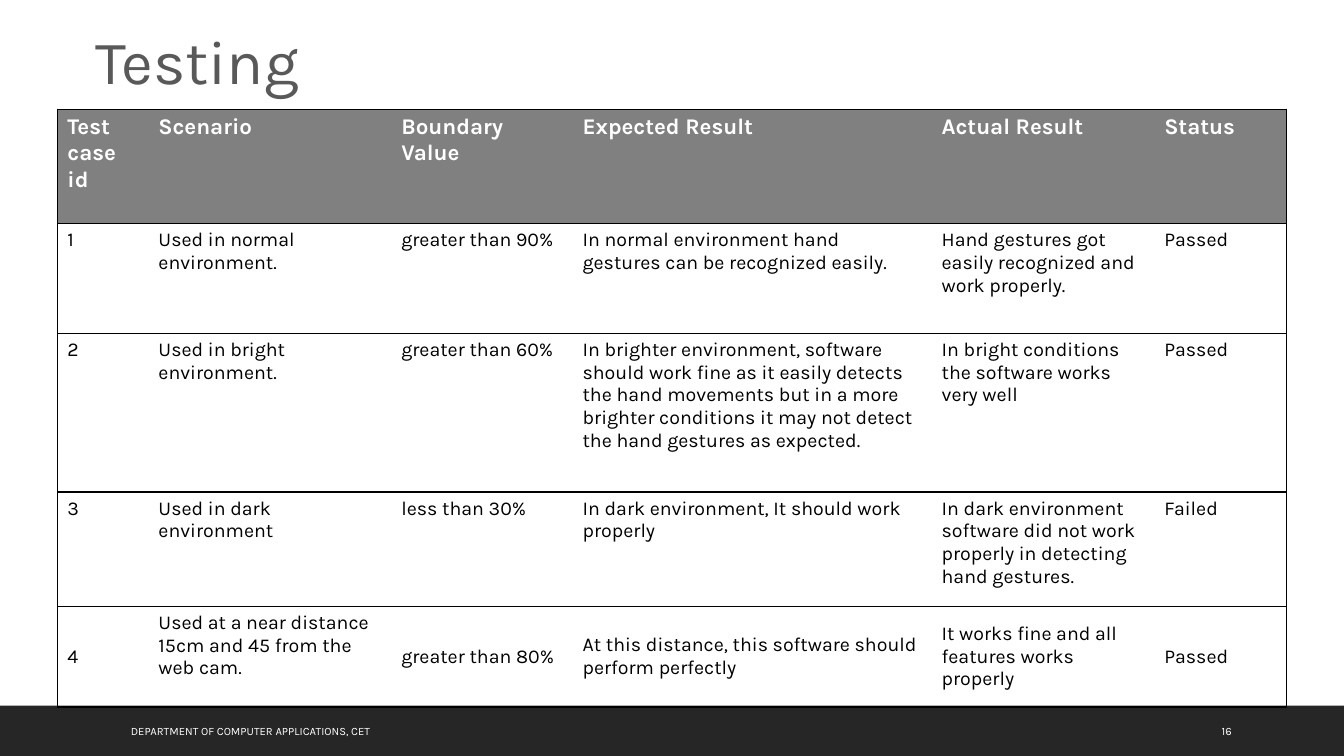
from lxml import etree
from pptx import Presentation
from pptx import util as u
from pptx.dml.color import RGBColor
from pptx.enum import shapes, text
from pptx.oxml.ns import qn

COLORS = {"white": "FFFFFF", "black": "000000", "bar": "262626",
          "header": "808080", "title": "595959"}
COLUMNS = [65, 173.5, 129.5, 256.5, 159, 94.5]
ROWS = [81.5, 78.5, 113.5, 81.5, 72]
TESTS = [
    ["Test case id", "Scenario", "Boundary Value", "Expected Result", "Actual Result", "Status"],
    ["1", "Used in normal environment.", "greater than 90%",
     "In normal environment hand gestures can be recognized easily.",
     "Hand gestures got easily recognized and work properly.", "Passed"],
    ["2", "Used in bright environment.", "greater than 60%",
     "In brighter environment, software should work fine as it easily detects the hand "
     "movements but in a more brighter conditions it may not detect the hand gestures as expected.",
     "In bright conditions the software works very well", "Passed"],
    ["3", "Used in dark environment", "less than 30%",
     "In dark environment, It should work properly",
     "In dark environment software did not work properly in detecting hand gestures.", "Failed"],
    ["4", "Used at a near distance 15cm and 45 from the web cam.", "greater than 80%",
     "At this distance, this software should perform perfectly",
     "It works fine and all features works properly", "Passed"],
]


class Deck:
    """Holds the style and the current slide."""

    def __init__(self, prs, font="Karla"):
        self.font = font
        self.s = prs.slides.add_slide(prs.slide_layouts[6])

    def color(self, name):
        return RGBColor.from_string(COLORS[name])

    def style(self, p, size, color, bold=False):
        f = p.font
        f.name, f.size, f.bold = self.font, u.Pt(size), bold
        f.color.rgb = self.color(color)

    def rect(self, x, y, w, h, color):
        sp = self.s.shapes.add_shape(shapes.MSO_SHAPE.RECTANGLE, u.Pt(x), u.Pt(y), u.Pt(w), u.Pt(h))
        sp.shadow.inherit = False
        sp.fill.solid()
        sp.fill.fore_color.rgb = self.color(color)
        sp.line.fill.background()

    def text(self, x, y, w, h, words, size, color, anchor=text.MSO_ANCHOR.MIDDLE, top=3.6):
        tf = self.s.shapes.add_textbox(u.Pt(x), u.Pt(y), u.Pt(w), u.Pt(h)).text_frame
        tf.word_wrap = True
        tf.vertical_anchor = anchor
        tf.margin_top = u.Pt(top)
        p = tf.paragraphs[0]
        p.text = words
        self.style(p, size, color)

    def borders(self, cell, drawn):
        tcPr = cell._tc.get_or_add_tcPr()
        for side in "LRTB":
            ln = etree.SubElement(tcPr, qn(f"a:ln{side}"), w=str(u.Pt(1)))
            if side in drawn:
                fill = etree.SubElement(ln, qn("a:solidFill"))
                etree.SubElement(fill, qn("a:srgbClr"), val=COLORS["black"])
            else:
                etree.SubElement(ln, qn("a:noFill"))

    def table(self, x, y, widths, heights, rows):
        tbl = self.s.shapes.add_table(len(heights), len(widths), u.Pt(x), u.Pt(y),
                                      u.Pt(sum(widths)), u.Pt(sum(heights))).table
        tbl.horz_banding = False
        for col, w in zip(tbl.columns, widths):
            col.width = u.Pt(w)
        for row, h in zip(tbl.rows, heights):
            row.height = u.Pt(h)
        for i, row in enumerate(rows):
            for j, words in enumerate(row):
                cell = tbl.cell(i, j)
                cell.text = words
                middle = i == len(rows) - 1 and j != 1
                cell.vertical_anchor = text.MSO_ANCHOR.MIDDLE if middle else text.MSO_ANCHOR.TOP
                self.borders(cell, "TB" + "L" * (j == 0) + "R" * (j == len(row) - 1))
                p = cell.text_frame.paragraphs[0]
                if i == 0:
                    cell.fill.solid()
                    cell.fill.fore_color.rgb = self.color("header")
                    self.style(p, 16, "white", True)
                else:
                    cell.fill.background()
                    self.style(p, 14, "black")


def main():
    prs = Presentation()
    prs.slide_width, prs.slide_height = u.Pt(960), u.Pt(540)
    deck = Deck(prs)
    deck.rect(0, 504, 960, 36, "bar")
    deck.text(86.4, 507.6, 537, 28.8, "DEPARTMENT OF COMPUTER APPLICATIONS, CET", 8, "white")
    deck.text(865.5, 507.6, 61, 28.8, "16", 8, "white")
    deck.table(41, 78, COLUMNS, ROWS, TESTS)
    deck.text(61, 8.6, 294, 60.5, "Testing", 44, "title", text.MSO_ANCHOR.TOP, 8)
    prs.save("out.pptx")


if __name__ == "__main__":
    main()
